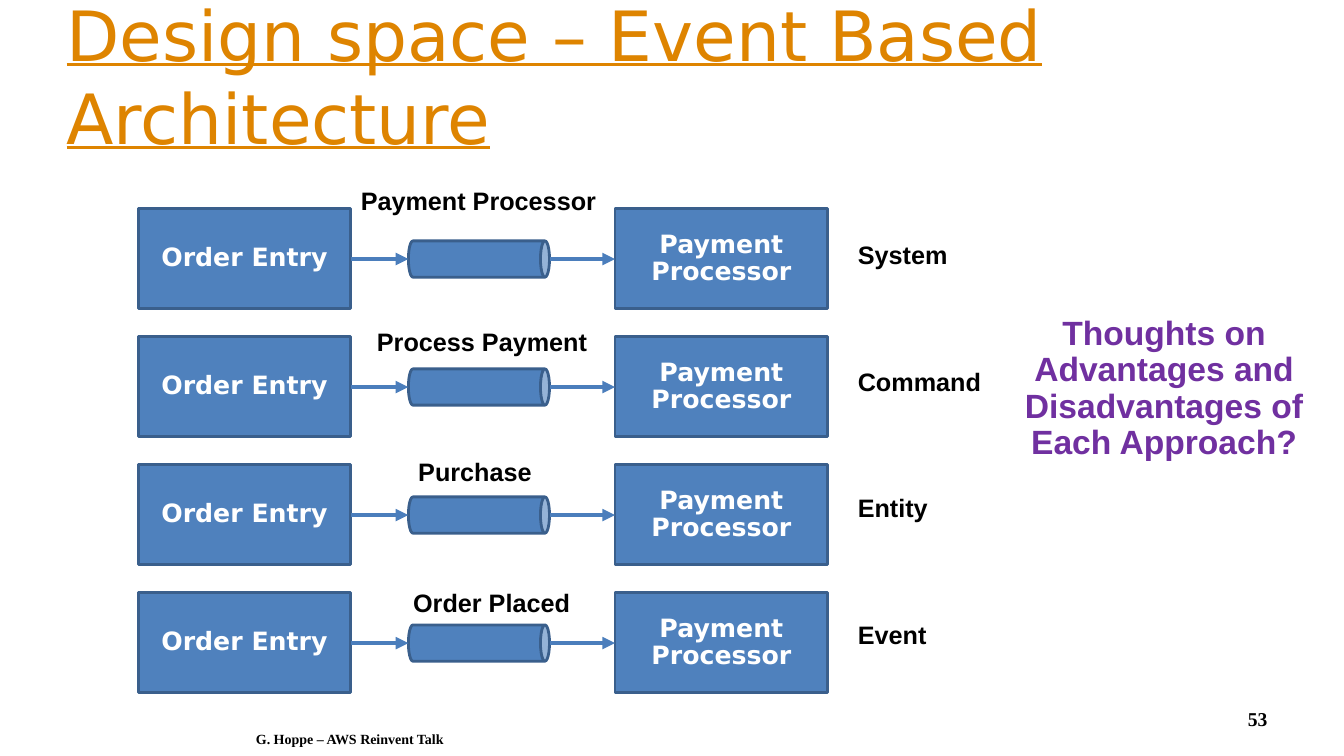
from dataclasses import dataclass

from lxml import etree
from pptx import Presentation
from pptx.dml.color import RGBColor
from pptx.enum import shapes, text
from pptx.oxml import ns
from pptx.util import Inches, Pt


@dataclass(frozen=True)
class Theme:
    title: str = "DE8400"
    fill: str = "4F81BD"
    outline: str = "3A5F8C"
    arrow: str = "4B7EBC"
    ink: str = "000000"
    light: str = "FFFFFF"
    question: str = "7030A0"
    title_size: float = 49.5
    question_size: int = 24
    label_size: int = 18
    number_size: int = 14
    footer_size: int = 10
    heading_font: str = "DejaVu Sans"
    label_font: str = "Arial"
    footer_font: str = "Times New Roman"


theme = Theme()


def write(box, words, size, font, color, bold=True, align=None, spacing=None,
          anchor=text.MSO_ANCHOR.TOP, wrap=True):
    """Fill a shape with one formatted paragraph."""
    frame = box.text_frame
    frame.word_wrap = wrap
    frame.vertical_anchor = anchor
    frame.auto_size = text.MSO_AUTO_SIZE.NONE if wrap else text.MSO_AUTO_SIZE.SHAPE_TO_FIT_TEXT
    para = frame.paragraphs[0]
    para.text = words
    para.alignment = align
    para.line_spacing = spacing
    para.font.size = Pt(size)
    para.font.name = font
    para.font.bold = bold
    para.font.color.rgb = RGBColor.from_string(color)
    return para


def add_block(kind, left, top, width, height):
    """Add a filled, outlined preset shape."""
    block = page.shapes.add_shape(kind, Inches(left), Inches(top), Inches(width), Inches(height))
    block.shadow.inherit = False
    block.fill.solid()
    block.fill.fore_color.rgb = RGBColor.from_string(theme.fill)
    block.line.color.rgb = RGBColor.from_string(theme.outline)
    block.line.width = Pt(2)
    return block


deck = Presentation()
deck.slide_width, deck.slide_height = Inches(13.33), Inches(7.5)
page = deck.slides.add_slide(deck.slide_layouts[5])

# Title
title = page.shapes.title
title.left, title.top, title.width, title.height = (Inches(v) for v in (0.56, 0.25, 12, 1))
heading = write(title, "Design space – Event Based Architecture", theme.title_size,
                theme.heading_font, theme.title, bold=False,
                align=text.PP_ALIGN.LEFT, anchor=text.MSO_ANCHOR.MIDDLE)
heading.font.underline = True

# Footer and slide number
for words, size, align, place in (
    ("G. Hoppe – AWS Reinvent Talk", theme.footer_size, text.PP_ALIGN.LEFT, (2.44, 7.08, 2.89, 0.5)),
    ("53", theme.number_size, text.PP_ALIGN.RIGHT, (9.56, 6.93, 3.11, 0.4)),
):
    box = page.shapes.add_textbox(*(Inches(v) for v in place))
    write(box, words, size, theme.footer_font, theme.ink, align=align,
          anchor=text.MSO_ANCHOR.MIDDLE)

# One row per approach: channel name with its place and width, then the kind with its width
approaches = (
    ("Payment Processor", 3.48, 1.82, 2.56, "System", 1.1),
    ("Process Payment", 3.64, 3.22, 2.31, "Command", 1.44),
    ("Purchase", 4.05, 4.51, 1.34, "Entity", 0.9),
    ("Order Placed", 4, 5.81, 1.77, "Event", 0.89),
)
for row, (channel, channel_left, channel_top, channel_width, kind, kind_width) in enumerate(approaches):
    top = 2.07 + 1.27 * row
    middle = top + 0.5

    # Sender and receiver
    for words, left in (("Order Entry", 1.37), ("Payment Processor", 6.1)):
        service = add_block(shapes.MSO_SHAPE.RECTANGLE, left, top, 2.11, 0.99)
        write(service, words, theme.label_size, theme.heading_font, theme.light,
              align=text.PP_ALIGN.CENTER, spacing=0.9, anchor=text.MSO_ANCHOR.MIDDLE)

    # Queue lying on its side
    queue = add_block(shapes.MSO_SHAPE.CAN, 4.57, middle - 0.7, 0.36, 1.4)
    queue.rotation = 90

    # Arrows into and out of the queue
    for start, end in ((3.48, 4.05), (5.46, 6.1)):
        arrow = page.shapes.add_connector(shapes.MSO_CONNECTOR.STRAIGHT, Inches(start),
                                          Inches(middle), Inches(end), Inches(middle))
        arrow.line.color.rgb = RGBColor.from_string(theme.arrow)
        arrow.line.width = Pt(3)
        etree.SubElement(arrow.line._get_or_add_ln(), ns.qn("a:tailEnd"), type="triangle")
        etree.SubElement(arrow._element.spPr, ns.qn("a:effectLst"))

    # Channel name and kind of approach
    for words, left, label_top, width in (
        (channel, channel_left, channel_top, channel_width),
        (kind, 8.41, 2.36 + 1.255 * row, kind_width),
    ):
        label = page.shapes.add_textbox(Inches(left), Inches(label_top), Inches(width), Inches(0.38))
        write(label, words, theme.label_size, theme.label_font, theme.ink, spacing=0.9, wrap=False)

# Question to the audience
question = page.shapes.add_textbox(Inches(10.05), Inches(3.09), Inches(2.99), Inches(1.56))
write(question, "Thoughts on\vAdvantages and\vDisadvantages of\vEach Approach?",
      theme.question_size, theme.label_font, theme.question,
      align=text.PP_ALIGN.CENTER, spacing=0.9, wrap=False)

deck.save("out.pptx")
